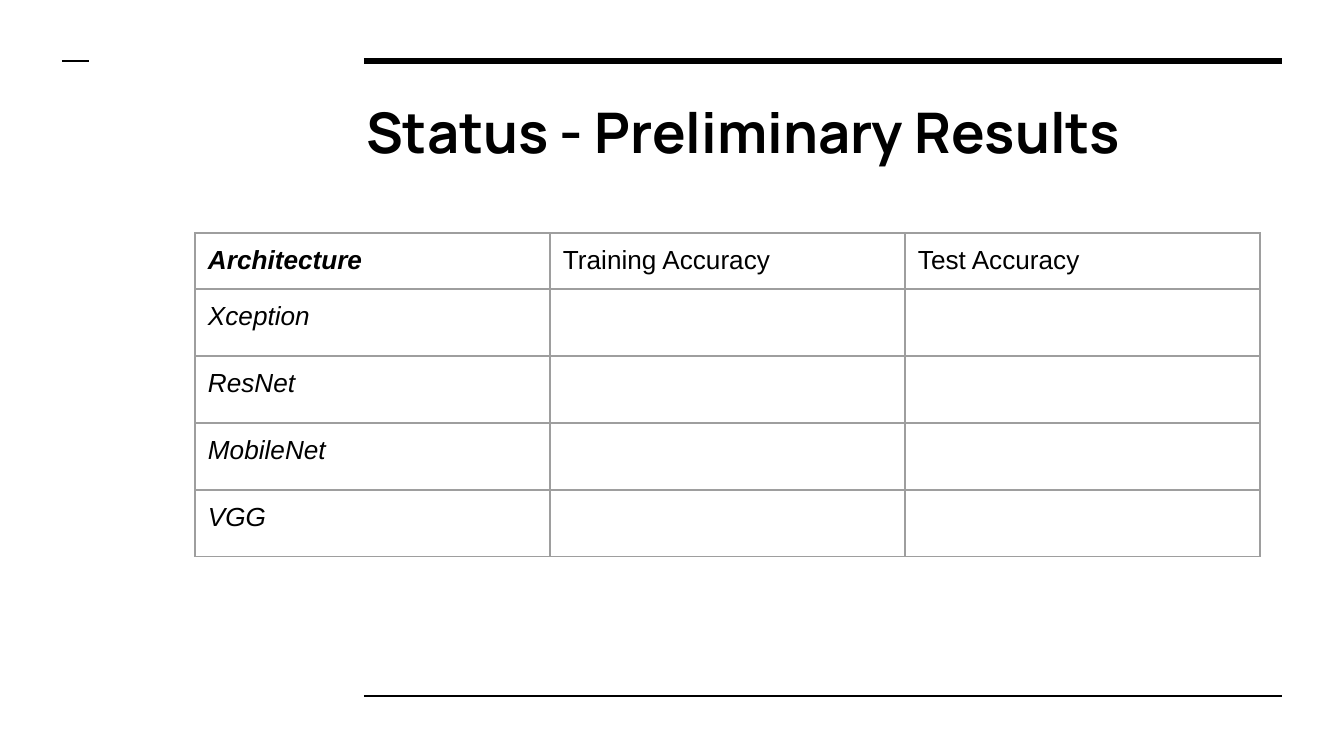
import pptx
import pptx.util
import pptx.dml.color
import pptx.enum.shapes
import pptx.enum.text
import pptx.oxml
import pptx.oxml.ns

# Content
TITLE = "Status - Preliminary Results"
HEADERS = ["Architecture", "Training Accuracy", "Test Accuracy"]
ARCHITECTURES = ["Xception", "ResNet", "MobileNet", "VGG"]
ROWS = [HEADERS] + [[name, "", ""] for name in ARCHITECTURES]

# Layout in px: rules are (left, right, y, points)
SLIDE_SIZE = (1344, 756)
RULES = [(364, 1282, 61, 3), (364, 1282, 696, 1.5), (62, 89, 61, 1.5)]
TITLE_BOX = (353, 85, 929, 93)
TABLE_LEFT, TABLE_TOP = 195, 233
COLUMN_WIDTH, ROW_HEIGHT = 355, 56
INSET = 13

BLACK, WHITE, GRAY = "000000", "FFFFFF", "9E9E9E"


def px(length):
    return pptx.util.Emu(round(length * 914400 / 134.4))


def color(value):
    return pptx.dml.color.RGBColor.from_string(value)


def add_run(paragraph, text, font, size, bold=False, italic=False):
    run = paragraph.add_run()
    run.text = text
    run.font.name = font
    run.font.size = pptx.util.Pt(size)
    run.font.bold = bold
    run.font.italic = italic
    run.font.color.rgb = color(BLACK)


def set_insets(target):
    target.margin_left = target.margin_right = px(INSET)
    target.margin_top = target.margin_bottom = px(INSET)


def add_rule(slide, left, right, y, points):
    connector = slide.shapes.add_connector(
        pptx.enum.shapes.MSO_CONNECTOR.STRAIGHT, px(left), px(y), px(right), px(y))
    connector.line.color.rgb = color(BLACK)
    connector.line.width = pptx.util.Pt(points)
    connector._element.spPr.append(pptx.oxml.parse_xml(
        f"<a:effectLst {pptx.oxml.ns.nsdecls('a')}/>"))


def add_borders(cell):
    # Borders must come before the fill in the cell properties
    properties = cell._tc.get_or_add_tcPr()
    for index, side in enumerate(("lnL", "lnR", "lnT", "lnB")):
        properties.insert(index, pptx.oxml.parse_xml(
            f"<a:{side} {pptx.oxml.ns.nsdecls('a')} w='{pptx.util.Pt(0.75)}'>"
            f"<a:solidFill><a:srgbClr val='{GRAY}'/></a:solidFill></a:{side}>"))


presentation = pptx.Presentation()
presentation.slide_width, presentation.slide_height = map(px, SLIDE_SIZE)
slide = presentation.slides.add_slide(presentation.slide_layouts[5])
slide.background.fill.solid()
slide.background.fill.fore_color.rgb = color(WHITE)

# Rules
for rule in RULES:
    add_rule(slide, *rule)

# Title
title = slide.shapes.title
title.left, title.top, title.width, title.height = map(px, TITLE_BOX)
frame = title.text_frame
set_insets(frame)
frame.word_wrap = True
frame.auto_size = pptx.enum.text.MSO_AUTO_SIZE.NONE
frame.vertical_anchor = pptx.enum.text.MSO_ANCHOR.TOP
frame.paragraphs[0].alignment = pptx.enum.text.PP_ALIGN.LEFT
add_run(frame.paragraphs[0], TITLE, "Manrope", 30, bold=True)

# Results table
table = slide.shapes.add_table(
    len(ROWS), len(HEADERS), px(TABLE_LEFT), px(TABLE_TOP),
    px(COLUMN_WIDTH * len(HEADERS)), px(ROW_HEIGHT * len(ROWS))).table
table.first_row = table.horz_banding = False
for row_index, row in enumerate(ROWS):
    for column_index, text in enumerate(row):
        cell = table.cell(row_index, column_index)
        set_insets(cell)
        cell.fill.background()
        add_borders(cell)
        if text:
            first = column_index == 0
            add_run(cell.text_frame.paragraphs[0], text, "Arial", 14,
                    bold=first and row_index == 0, italic=first)

presentation.save("out.pptx")
